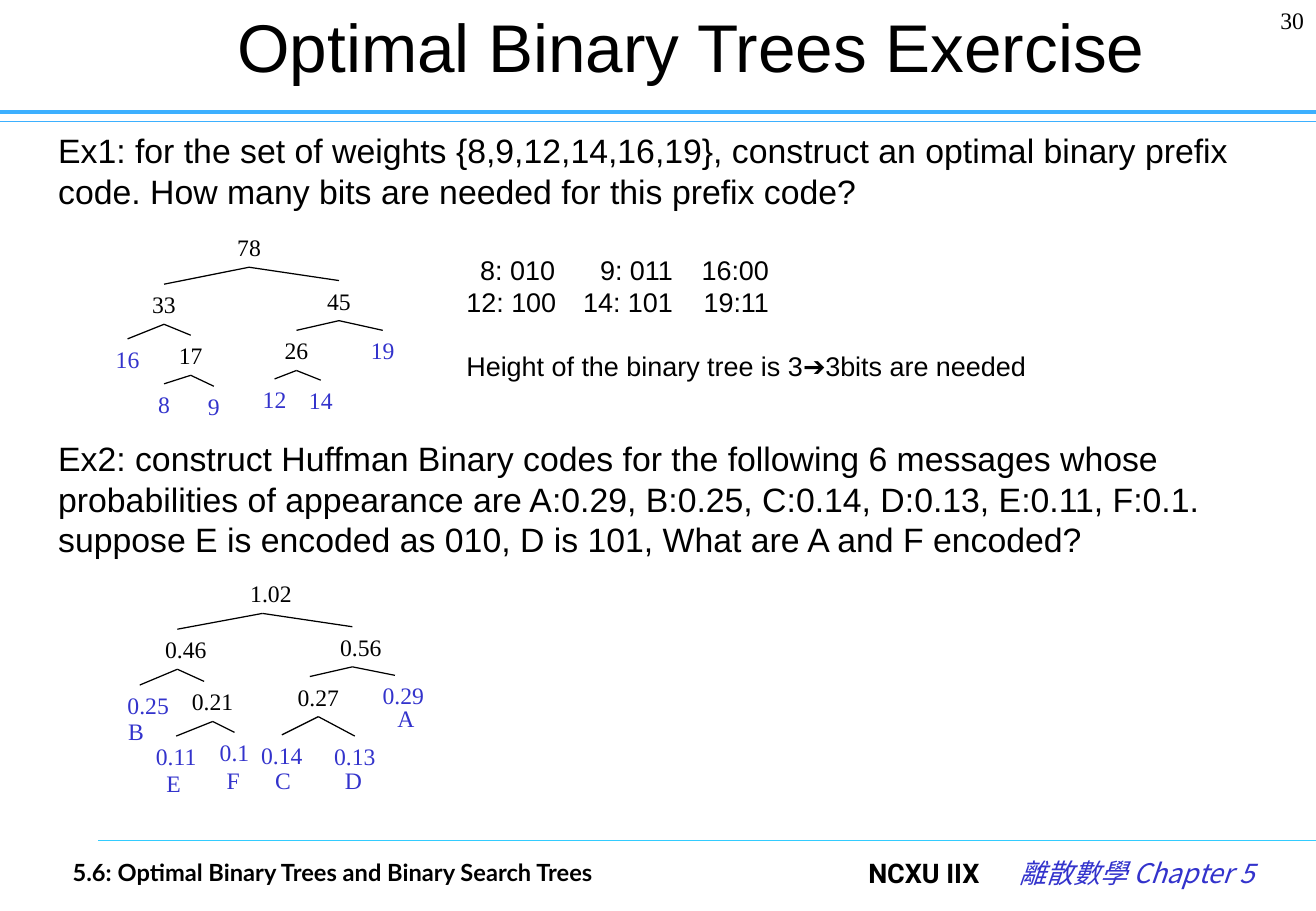
from pptx import Presentation
from pptx.dml.color import RGBColor
from pptx.enum.shapes import MSO_CONNECTOR
from pptx.enum.text import MSO_ANCHOR, PP_ALIGN
from pptx.util import Inches, Pt
from lxml import etree

COLORS = {"black": "000000", "leaf": "3333CC", "rule": "3DB0FF", "footer": "33CCFF"}
NODE_H = 0.33
A = "{http://schemas.openxmlformats.org/drawingml/2006/main}"

prs = Presentation()
prs.slide_width, prs.slide_height = Inches(10.83), Inches(7.5)
s = prs.slides.add_slide(prs.slide_layouts[5])


def add_text(content, x, y, w, h, size=14, font="Times New Roman", color="black",
             bold=False, italic=False, align=PP_ALIGN.LEFT, anchor=MSO_ANCHOR.TOP,
             margin=0.1, line=None, gap=0, tabs=(), shape=None):
    """Write one paragraph per line of content; gap is the space above the last one."""
    sp = shape or s.shapes.add_textbox(0, 0, 0, 0)
    sp.left, sp.top, sp.width, sp.height = Inches(x), Inches(y), Inches(w), Inches(h)
    tf = sp.text_frame
    tf.word_wrap = True
    tf.vertical_anchor = anchor
    tf.margin_left = tf.margin_right = Inches(margin)
    tf.margin_top = tf.margin_bottom = Inches(0.05)
    tf.text = content
    for p in tf.paragraphs:
        p.alignment = align
        if line:
            p.line_spacing = Pt(line)
        if gap and p.text == content.split("\n")[-1]:
            p.space_before = Pt(gap)
        if tabs:
            tab_list = etree.SubElement(p._p.get_or_add_pPr(), A + "tabLst")
            for pos in tabs:
                etree.SubElement(tab_list, A + "tab", pos=str(Inches(pos)), algn="r")
        f = p.runs[0].font
        f.size, f.name, f.bold, f.italic = Pt(size), font, bold, italic
        f.color.rgb = RGBColor.from_string(COLORS[color])
        etree.SubElement(p.runs[0]._r.get_or_add_rPr(), A + "ea", typeface=font)


def add_line(x1, y1, x2, y2, color="black", width=0.75):
    c = s.shapes.add_connector(MSO_CONNECTOR.STRAIGHT, Inches(x1), Inches(y1),
                               Inches(x2), Inches(y2))
    c.line.color.rgb = RGBColor.from_string(COLORS[color])
    c.line.width = Pt(width)
    etree.SubElement(c._element.spPr, A + "effectLst")


# Header and footer
add_line(0, 1, 10.83, 1, "rule")
add_line(0, 0.92, 10.83, 0.92, "rule", 2.5)
add_line(0.81, 6.92, 10.83, 6.92, "footer")
add_text("Optimal Binary Trees Exercise", 1.44, 0, 8.49, 0.75, size=40, font="Arial",
         align=PP_ALIGN.CENTER, anchor=MSO_ANCHOR.MIDDLE, shape=s.shapes.title)
add_text("30", 9.93, 0, 0.9, 0.5, align=PP_ALIGN.RIGHT)
add_text("5.6: Optimal Binary Trees and Binary Search Trees", 0.5, 7.01, 5.5, 0.33,
         font="Lato", bold=True)
add_text("NCXU IIX", 6.16, 7, 2, 0.5, size=16, font="Roboto", bold=True,
         align=PP_ALIGN.RIGHT)
add_text("離散數學 Chapter 5", 7.92, 7, 2.5, 0.5, size=16, font="Noto Sans CJK SC",
         color="leaf", italic=True, align=PP_ALIGN.RIGHT)

# Exercises and the answer to the first one
add_text("Ex1: for the set of weights {8,9,12,14,16,19}, construct an optimal binary "
         "prefix code. How many bits are needed for this prefix code?\n"
         "Ex2: construct Huffman Binary codes for the following 6 messages whose "
         "probabilities of appearance are A:0.29, B:0.25, C:0.14, D:0.13, E:0.11, F:0.1. "
         "suppose E is encoded as 010, D is 101, What are A and F encoded?",
         0.38, 1.02, 10.45, 5.92, size=20, font="Arial", line=24, gap=134.5)
add_text("\t8: 010\t9: 011\t16:00\n\t12: 100\t14: 101\t19:11\n"
         "Height of the binary tree is 3➔3bits are needed",
         3.74, 2.04, 5.2, 1.17, size=16, font="Arial", line=19, gap=19,
         tabs=(0.73, 1.7, 2.49))

# Trees: label, centre x, top, index of the parent; the last four nodes are the lowest level
weight_tree = [
    ("78", 2.05, 1.87, None), ("33", 1.35, 2.34, 0), ("45", 2.79, 2.31, 0),
    ("16", 1.05, 2.79, 1), ("17", 1.57, 2.76, 1), ("26", 2.44, 2.72, 2),
    ("19", 3.15, 2.72, 2), ("8", 1.35, 3.16, 4), ("9", 1.76, 3.18, 4),
    ("12", 2.26, 3.12, 5), ("14", 2.64, 3.13, 5)]
message_tree = [
    ("1.02", 2.23, 4.72, None), ("0.46", 1.53, 5.18, 0), ("0.56", 2.97, 5.16, 0),
    ("0.25", 1.22, 5.64, 1), ("0.21", 1.75, 5.61, 1), ("0.27", 2.62, 5.57, 2),
    ("0.29", 3.32, 5.56, 2), ("0.11", 1.45, 6.06, 4), ("0.1", 1.93, 6.03, 4),
    ("0.14", 2.32, 6.05, 5), ("0.13", 2.92, 6.06, 5)]
message_names = [("A", 3.34, 5.75), ("B", 1.12, 5.85), ("C", 2.33, 6.26),
                 ("D", 2.91, 6.26), ("E", 1.43, 6.28), ("F", 1.92, 6.26)]

labels = [(name, x, top, "leaf") for name, x, top in message_names]
for tree, upper_shift in ((weight_tree, 0), (message_tree, 0.07)):
    parents = {parent for *_, parent in tree}
    for i, (label, x, top, parent) in enumerate(tree):
        labels.append((label, x, top, "black" if i in parents else "leaf"))
        if parent is not None:
            shift = upper_shift if i < 7 else 0
            _, parent_x, parent_top, _ = tree[parent]
            add_line(parent_x - shift, parent_top + NODE_H, x - shift, top)

for label, x, top, color in labels:
    add_text(label, x - 0.3, top, 0.6, NODE_H, color=color, align=PP_ALIGN.CENTER, margin=0)

prs.save("out.pptx")
